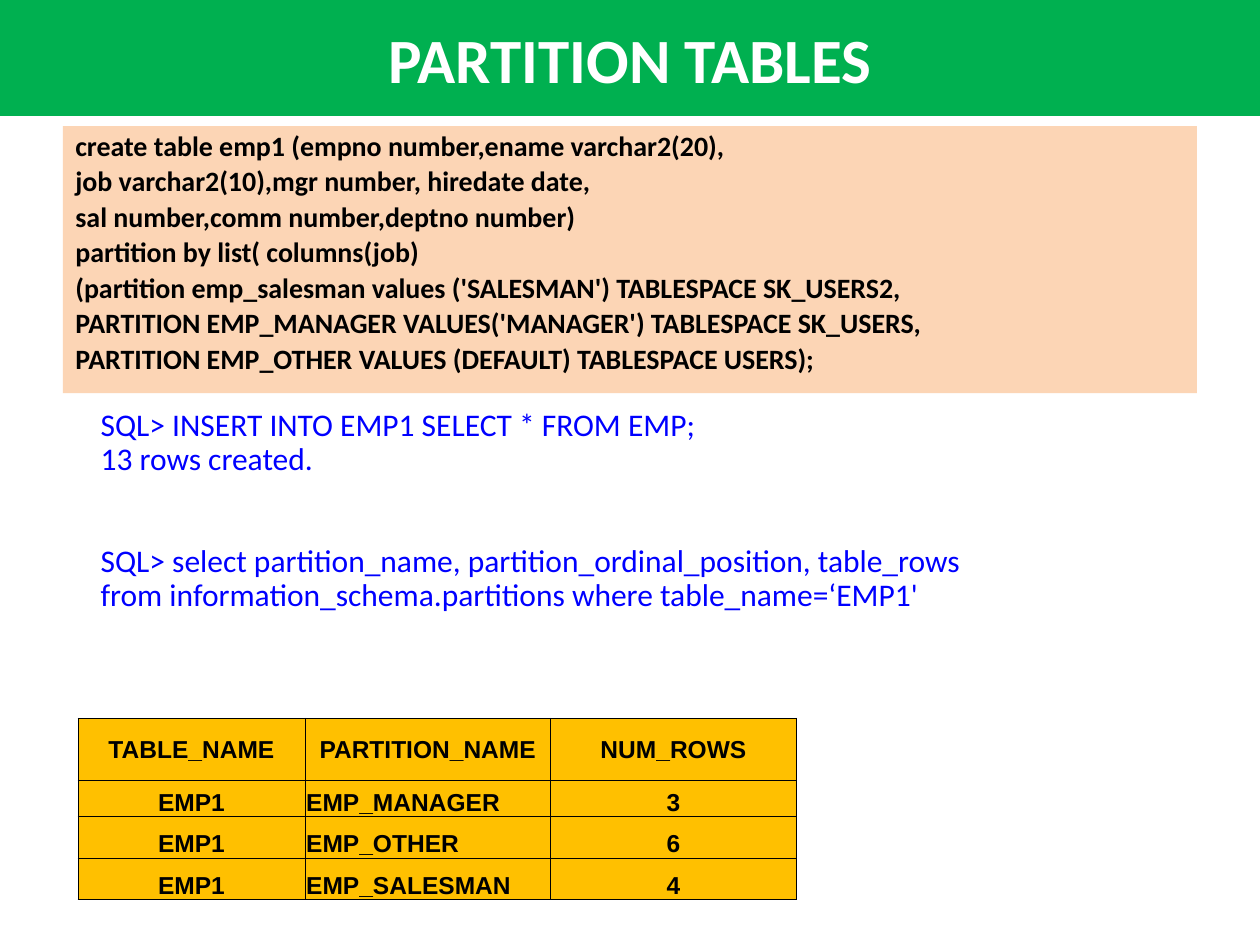
from lxml.etree import SubElement
from pptx import Presentation
from pptx.dml.color import RGBColor
from pptx.enum.text import MSO_ANCHOR, PP_ALIGN
from pptx.oxml.ns import qn
from pptx.util import Inches, Pt

# Content
TITLE = "PARTITION TABLES"
CREATE_LINES = [
    "create table emp1 (empno number,ename varchar2(20),",
    "job varchar2(10),mgr number, hiredate date,",
    "sal number,comm number,deptno number)",
    "partition by list( columns(job)",
    "(partition emp_salesman values ('SALESMAN') TABLESPACE SK_USERS2,",
    "PARTITION EMP_MANAGER VALUES('MANAGER') TABLESPACE SK_USERS,",
    "PARTITION EMP_OTHER VALUES (DEFAULT) TABLESPACE USERS);",
]
INSERT_LINES = ["SQL> INSERT INTO EMP1 SELECT * FROM EMP;", "13 rows created."]
SELECT_LINES = [
    "SQL> select partition_name, partition_ordinal_position, table_rows",
    "from information_schema.partitions where table_name=‘EMP1'",
]
TABLE_ROWS = [
    ("TABLE_NAME", "PARTITION_NAME", "NUM_ROWS"),
    ("EMP1", "EMP_MANAGER", "3"),
    ("EMP1", "EMP_OTHER", "6"),
    ("EMP1", "EMP_SALESMAN", "4"),
]
COLUMN_WIDTHS = [1.8, 1.95, 1.95]
ROW_HEIGHTS = [0.49, 0.29, 0.33, 0.33]


def color(value):
    return RGBColor.from_string(value)


def write(frame, lines, size, font="Calibri", ink="000000", bold=False,
          align=PP_ALIGN.LEFT, spacing=1.0, gaps=None):
    """Write one paragraph per line; gaps maps a line number to points before it."""
    for number, line in enumerate(lines):
        para = frame.paragraphs[0] if number == 0 else frame.add_paragraph()
        para.alignment = align
        para.line_spacing = spacing
        para.space_before = Pt((gaps or {}).get(number, 0))
        span = para.add_run()
        span.text = line
        span.font.name = font
        span.font.size = Pt(size)
        span.font.bold = bold
        span.font.color.rgb = color(ink)


def add_box(page, place, lines, size, fill=None, anchor=MSO_ANCHOR.TOP, **style):
    box = page.shapes.add_textbox(*map(Inches, place))
    if fill:
        box.fill.solid()
        box.fill.fore_color.rgb = color(fill)
    box.text_frame.word_wrap = True
    box.text_frame.vertical_anchor = anchor
    write(box.text_frame, lines, size, **style)


def add_borders(cell, ink="000000", width=0.5):
    properties = cell._tc.get_or_add_tcPr()
    for index, side in enumerate(("lnL", "lnR", "lnT", "lnB")):
        line = properties.makeelement(qn(f"a:{side}"), {"w": str(Pt(width))})
        fill = SubElement(line, qn("a:solidFill"))
        SubElement(fill, qn("a:srgbClr"), val=ink)
        properties.insert(index, line)


def add_partition_table(page, left, top):
    table = page.shapes.add_table(
        len(TABLE_ROWS), len(COLUMN_WIDTHS), Inches(left), Inches(top),
        Inches(sum(COLUMN_WIDTHS)), Inches(sum(ROW_HEIGHTS))).table
    for column, width in zip(table.columns, COLUMN_WIDTHS):
        column.width = Inches(width)
    for row, height in zip(table.rows, ROW_HEIGHTS):
        row.height = Inches(height)
    for r, values in enumerate(TABLE_ROWS):
        for c, value in enumerate(values):
            cell = table.cell(r, c)
            cell.margin_left = cell.margin_right = cell.margin_top = Inches(0.01)
            cell.margin_bottom = 0
            cell.vertical_anchor = MSO_ANCHOR.BOTTOM if r else MSO_ANCHOR.MIDDLE
            cell.fill.solid()
            cell.fill.fore_color.rgb = color("FFC000")
            add_borders(cell)
            is_name = r > 0 and c == 1
            write(cell.text_frame, [value], 14, font="Arial", bold=True,
                  align=PP_ALIGN.LEFT if is_name else PP_ALIGN.CENTER)


deck = Presentation()
deck.slide_width, deck.slide_height = Inches(10), Inches(7.5)
page = deck.slides.add_slide(deck.slide_layouts[6])

# Title band
add_box(page, (0, 0, 10, 0.92), [TITLE], 36, fill="00B050", ink="FFFFFF",
        bold=True, align=PP_ALIGN.CENTER, anchor=MSO_ANCHOR.MIDDLE)

# Table definition
add_box(page, (0.5, 1, 9, 2.12), CREATE_LINES, 16, fill="FCD5B5", bold=True,
        spacing=0.9, gaps={n: 3 for n in range(1, len(CREATE_LINES))})

# Session: insert, then select
add_box(page, (0.7, 3.2, 8.05, 1.74), INSERT_LINES + SELECT_LINES, 18,
        ink="0000FF", spacing=0.9, gaps={len(INSERT_LINES): 39})

# Query result
add_partition_table(page, 0.62, 5.7)

deck.save("out.pptx")
